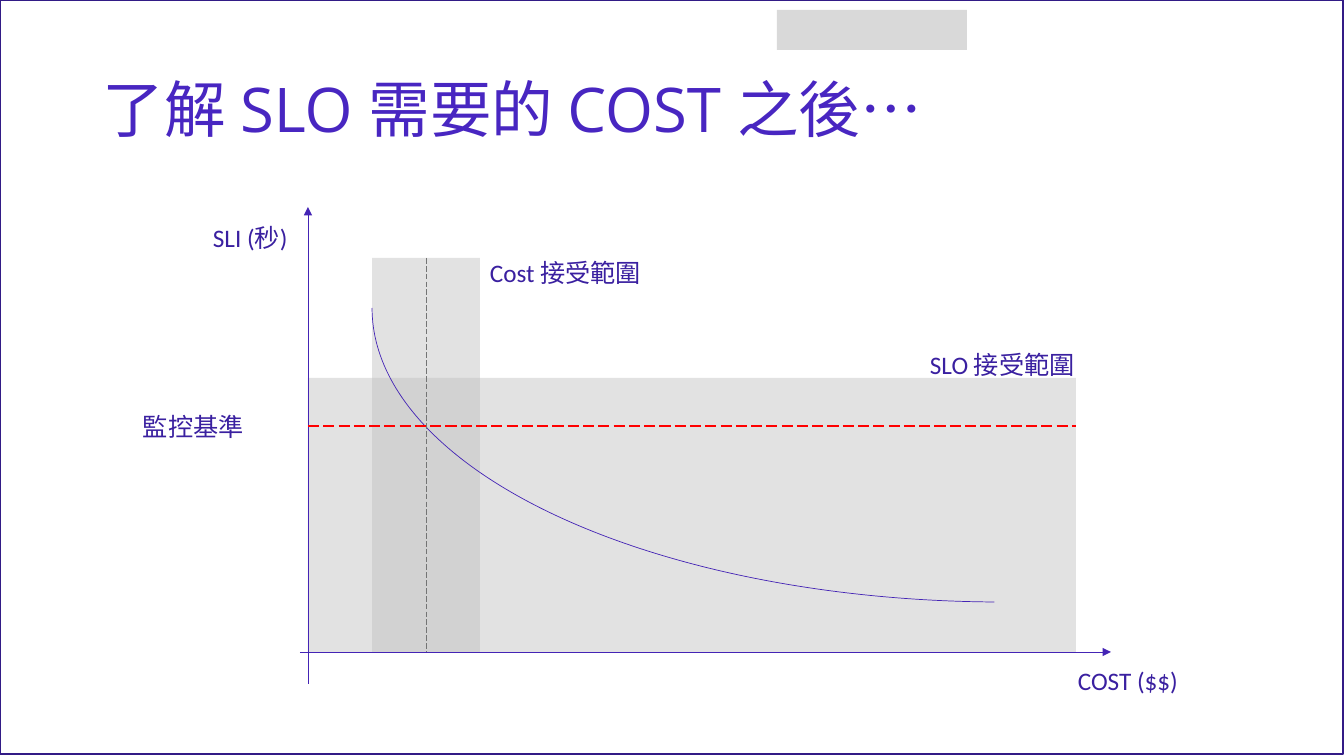
from lxml.etree import SubElement
from pptx import Presentation
from pptx.dml.color import RGBColor
from pptx.enum.dml import MSO_LINE_DASH_STYLE as Dash
from pptx.enum.shapes import MSO_CONNECTOR as Connector, MSO_SHAPE as Shape
from pptx.enum.text import MSO_ANCHOR as Anchor, MSO_AUTO_SIZE as AutoSize
from pptx.oxml.ns import qn
from pptx.util import Pt

SCALE = 914400 / 100.8
COLORS = {
    "title": "4826C1",
    "label": "3A20A0",
    "axis": "4424B5",
    "frame": "321B86",
    "band": "BFBFBF",
    "guide": "737474",
    "baseline": "FF0000",
    "badge": "D9D9D9",
}


def px(*values):
    return [round(value * SCALE) for value in values]


def rgb(name):
    return RGBColor.from_string(COLORS[name])


def write(frame, text, *, size=18, font="Calibri", color="label", spacing=None):
    para = frame.paragraphs[0]
    if spacing:
        para.line_spacing = spacing
    span = para.add_run()
    span.text = text
    span.font.size = Pt(size)
    span.font.name = font
    span.font.color.rgb = rgb(color)


class Slide:
    def __init__(self, deck):
        self.page = deck.slides.add_slide(deck.slide_layouts[6])

    def shape(self, kind, left, top, width, height, fill=None, alpha=None, line=None, weight=1):
        shape = self.page.shapes.add_shape(kind, *px(left, top, width, height))
        shape.shadow.inherit = False
        if fill:
            shape.fill.solid()
            shape.fill.fore_color.rgb = rgb(fill)
        else:
            shape.fill.background()
        if alpha:
            color = shape.fill._xPr.find(".//" + qn("a:srgbClr"))
            SubElement(color, qn("a:alpha"), val=str(alpha * 1000))
        if line:
            shape.line.color.rgb = rgb(line)
            shape.line.width = Pt(weight)
        else:
            shape.line.fill.background()
        return shape

    def line(self, start, end, color, weight=0.5, dash=None, arrow=False):
        line = self.page.shapes.add_connector(Connector.STRAIGHT, *px(*start, *end))
        line.line.color.rgb = rgb(color)
        line.line.width = Pt(weight)
        if dash:
            line.line.dash_style = dash
        if arrow:
            SubElement(line.line._get_or_add_ln(), qn("a:tailEnd"), type="triangle")
        SubElement(line._element.spPr, qn("a:effectLst"))
        return line

    def text(self, text, left, top, width, height=40, anchor=Anchor.TOP, grow=True, **style):
        box = self.page.shapes.add_textbox(*px(left, top, width, height))
        frame = box.text_frame
        frame.word_wrap = True
        frame.vertical_anchor = anchor
        frame.auto_size = AutoSize.SHAPE_TO_FIT_TEXT if grow else AutoSize.NONE
        write(frame, text, **style)


def main():
    deck = Presentation()
    deck.slide_width, deck.slide_height = px(1344, 756)
    slide = Slide(deck)

    slide.shape(Shape.RECTANGLE, 777, 10, 190, 40, fill="badge")
    slide.shape(Shape.RECTANGLE, 0, 0, 1343, 754, line="frame")

    origin_x, origin_y, slo_right = 308, 652, 1076
    cost_band = slide.shape(
        Shape.RECTANGLE, 372, 258, 108, origin_y - 258, fill="band", alpha=44)
    slide.shape(
        Shape.RECTANGLE, origin_x, 378, slo_right - origin_x, origin_y - 378,
        fill="band", alpha=44)

    slide.text("了解 SLO 需要的 COST 之後…", 93, 40, 1159, 146, anchor=Anchor.MIDDLE,
               grow=False, size=44, font="Open Sans", color="title", spacing=0.9)

    slide.line((origin_x, 684), (origin_x, 207), "axis", arrow=True)
    slide.line((300, origin_y), (1111, origin_y), "axis", arrow=True)

    curve = slide.shape(Shape.ARC, 372, 14, 1262, 588, line="axis", weight=0.5)
    curve.rotation = 180
    curve.adjustments[0] = 163.02
    curve.adjustments[1] = 0

    for label, left, top, width in (
        ("SLI (秒)", 203, 217, 96),
        ("COST ($$)", 1068, 660, 122),
        ("Cost 接受範圍", 480, 252, 173),
        ("SLO 接受範圍", 920, 344, 166),
        ("監控基準", 133, 406, 122),
    ):
        slide.text(label, left, top, width)

    guide = slide.line((426, 258), (426, origin_y), "guide", dash=Dash.LONG_DASH)
    guide.begin_connect(cost_band, 0)
    guide.end_connect(cost_band, 2)
    slide.line((origin_x, 426), (slo_right, 426), "baseline", weight=1, dash=Dash.LONG_DASH)

    deck.save("out.pptx")


if __name__ == "__main__":
    main()
